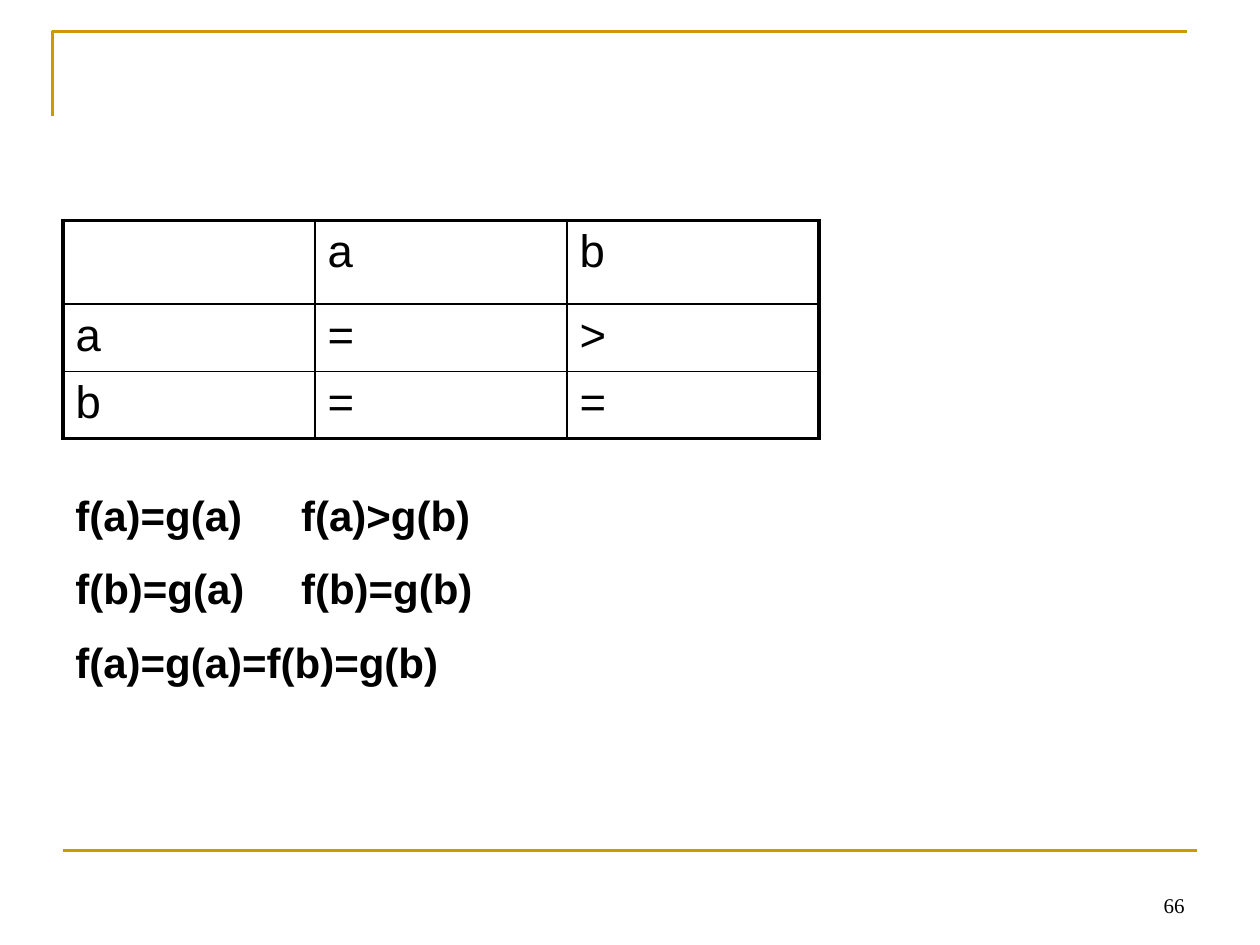
from dataclasses import dataclass

from lxml.etree import SubElement
from pptx import Presentation
from pptx.dml.color import RGBColor
from pptx.enum.shapes import MSO_CONNECTOR as Connector
from pptx.enum.text import MSO_ANCHOR as Anchor, PP_ALIGN as Align
from pptx.oxml.ns import qn
from pptx.util import Cm, Length, Pt


@dataclass(frozen=True)
class Theme:
    ink: RGBColor = RGBColor(0x00, 0x00, 0x00)
    gold: RGBColor = RGBColor(0xCC, 0x99, 0x00)
    sans: str = "Arial"
    serif: str = "Times New Roman"
    cell_size: Length = Pt(26)
    formula_size: Length = Pt(24)
    number_size: Length = Pt(12)
    rule: Length = Pt(1.5)
    outer: Length = Pt(2.25)
    inner: Length = Pt(1)


@dataclass(frozen=True)
class Box:
    left: Length
    top: Length
    width: Length
    height: Length


THEME = Theme()
RELATIONS = [["", "a", "b"], ["a", "=", ">"], ["b", "=", "="]]
ROW_HEIGHTS = [Cm(1.69), Cm(1.35), Cm(1.35)]
COL_WIDTH = Cm(5.08)
FORMULAS = ["f(a)=g(a)\tf(a)>g(b)", "f(b)=g(a)\tf(b)=g(b)", "f(a)=g(a)=f(b)=g(b)"]


def add_text(tf, lines: list[str], *, size: Length, font: str = THEME.sans,
             bold: bool = False, align=Align.LEFT, gap: Length = Pt(0),
             tab: Length | None = None) -> None:
    for i, line in enumerate(lines):
        p = tf.add_paragraph() if i else tf.paragraphs[0]
        p.alignment = align
        if i:
            p.space_before = gap
        if tab and "\t" in line:
            stops = SubElement(p._p.get_or_add_pPr(), qn("a:tabLst"))
            SubElement(stops, qn("a:tab"), pos=str(int(tab)), algn="l")
        r = p.add_run()
        r.text = line
        r.font.name, r.font.size, r.font.bold = font, size, bold
        r.font.color.rgb = THEME.ink


def add_box(slide, box: Box, lines: list[str], *, anchor=Anchor.TOP, **fmt) -> None:
    tf = slide.shapes.add_textbox(box.left, box.top, box.width, box.height).text_frame
    tf.word_wrap = True
    tf.vertical_anchor = anchor
    add_text(tf, lines, **fmt)


def style_rule(sp) -> None:
    sp.line.color.rgb = THEME.gold
    sp.line.width = THEME.rule


def add_frame(slide) -> None:
    left, top = Cm(1.06), Cm(0.64)
    builder = slide.shapes.build_freeform(left, Cm(2.33))
    builder.add_line_segments([(left, top), (Cm(23.92), top)], close=False)
    corner = builder.convert_to_shape()
    corner.shadow.inherit = False
    corner.fill.background()
    style_rule(corner)
    y = Cm(17.14)
    footer = slide.shapes.add_connector(Connector.STRAIGHT, Cm(1.27), y, Cm(24.13), y)
    SubElement(footer._element.spPr, qn("a:effectLst"))
    style_rule(footer)


def set_borders(cell, outer_sides: dict[str, bool]) -> None:
    tc_pr = cell._tc.get_or_add_tcPr()
    for i, (side, is_outer) in enumerate(outer_sides.items()):
        width = THEME.outer if is_outer else THEME.inner
        ln = SubElement(tc_pr, qn(f"a:ln{side}"), w=str(int(width)))
        fill = SubElement(ln, qn("a:solidFill"))
        SubElement(fill, qn("a:srgbClr"), val=str(THEME.ink))
        tc_pr.remove(ln)
        tc_pr.insert(i, ln)


def add_relations(slide, left: Length, top: Length) -> None:
    rows, cols = len(RELATIONS), len(RELATIONS[0])
    table = slide.shapes.add_table(rows, cols, left, top,
                                   COL_WIDTH * cols, sum(ROW_HEIGHTS)).table
    table.first_row = table.horz_banding = False
    for col in table.columns:
        col.width = COL_WIDTH
    for i, height in enumerate(ROW_HEIGHTS):
        table.rows[i].height = height
        for j, text in enumerate(RELATIONS[i]):
            cell = table.cell(i, j)
            cell.fill.background()
            set_borders(cell, {"L": j == 0, "R": j == cols - 1,
                               "T": i == 0, "B": i == rows - 1})
            if text:
                add_text(cell.text_frame, [text], size=THEME.cell_size)


def main() -> None:
    prs = Presentation()
    prs.slide_width, prs.slide_height = Cm(25.4), Cm(19.05)
    slide = prs.slides.add_slide(prs.slide_layouts[6])
    add_frame(slide)
    add_box(slide, Box(Cm(18.2), Cm(17.36), Cm(5.93), Cm(1.27)), ["66"],
            anchor=Anchor.BOTTOM, size=THEME.number_size, font=THEME.serif,
            align=Align.RIGHT)
    add_relations(slide, Cm(1.27), Cm(4.44))
    add_box(slide, Box(Cm(1.27), Cm(9.74), Cm(18.24), Cm(4.32)), FORMULAS,
            size=THEME.formula_size, bold=True, gap=Pt(13.25), tab=Cm(4.55))
    prs.save("out.pptx")


if __name__ == "__main__":
    main()
